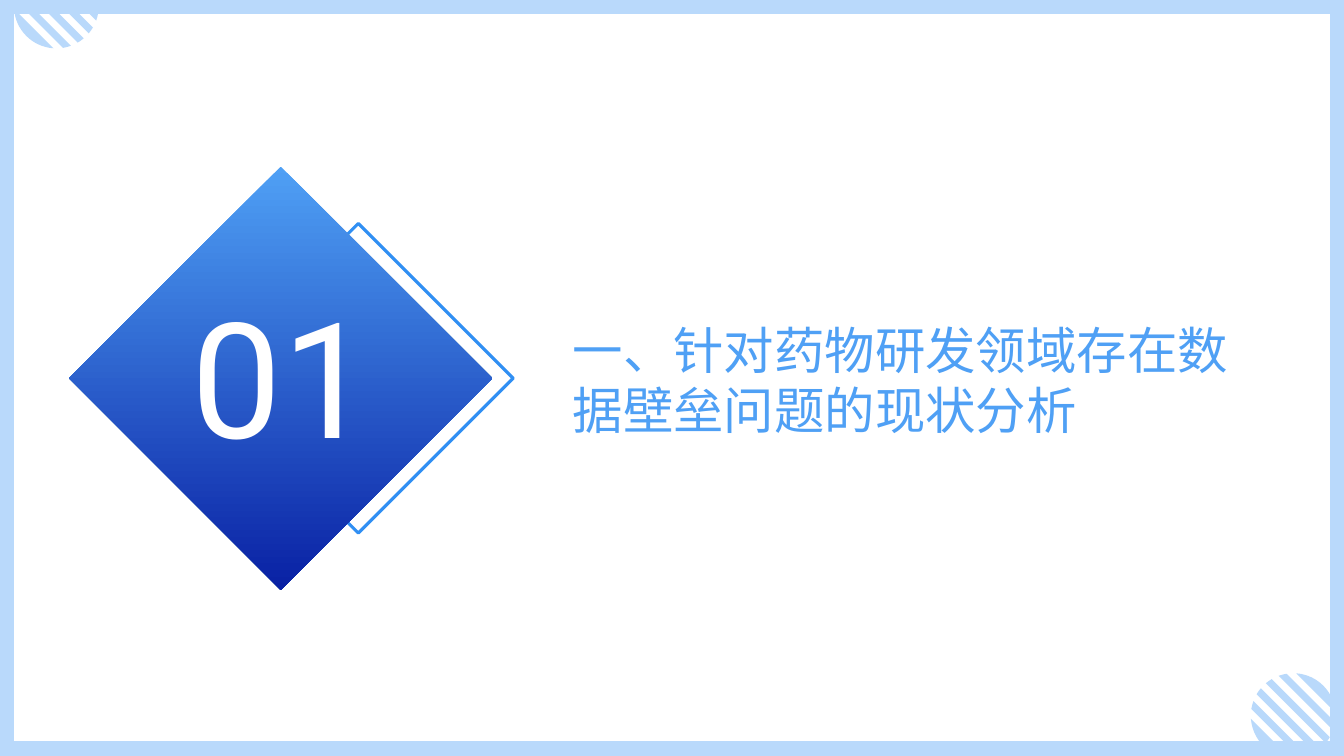
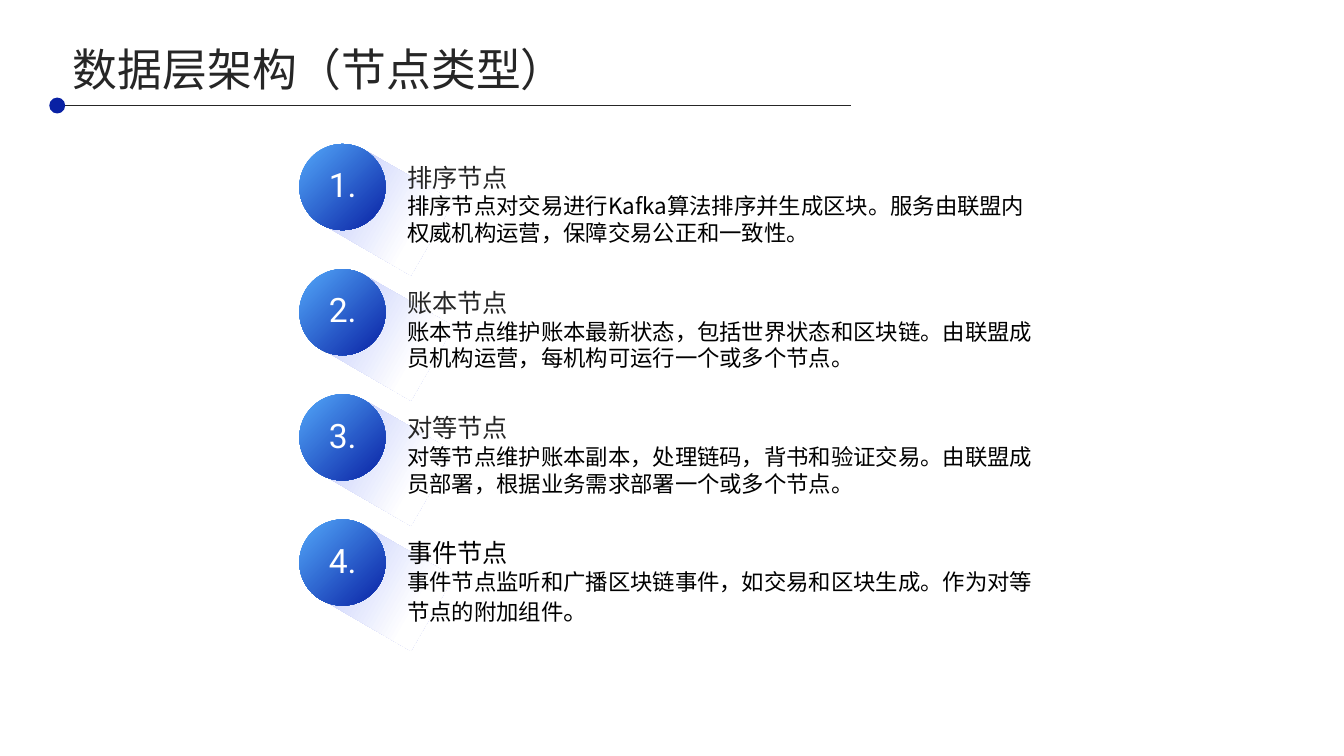
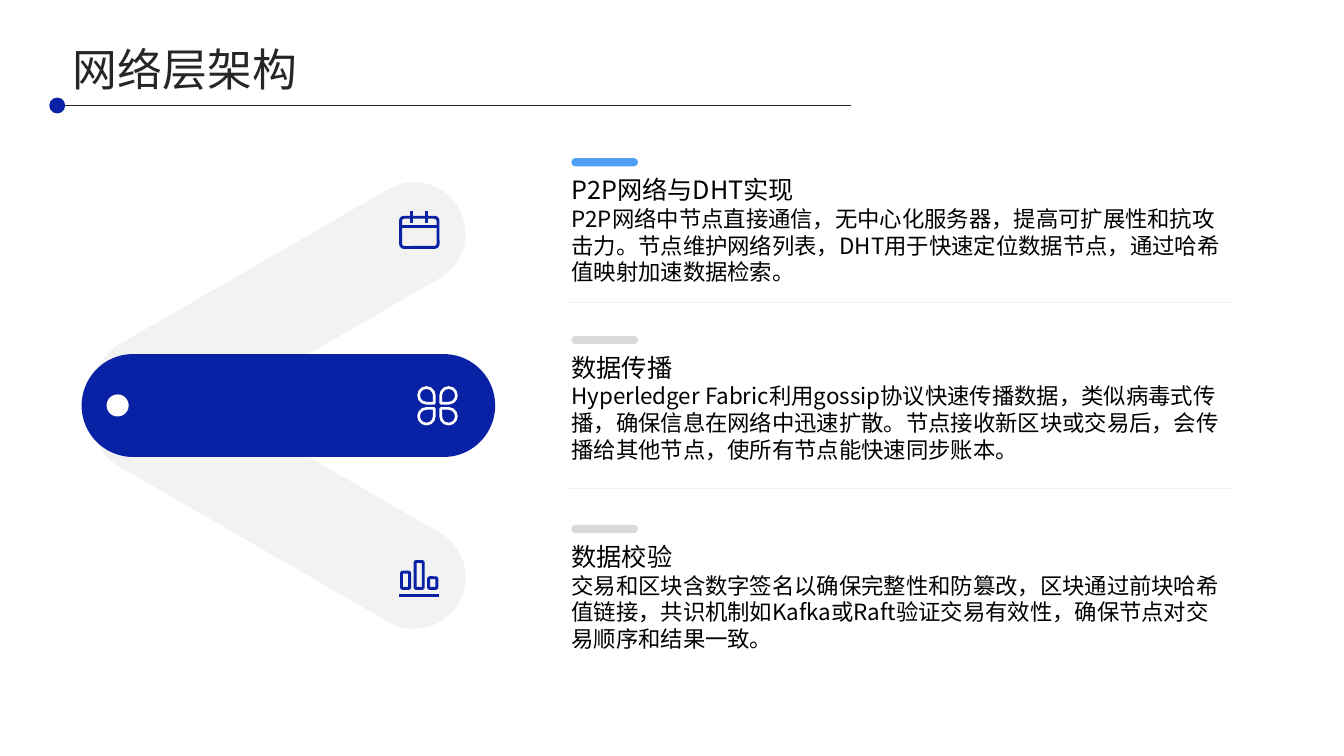
import math
from dataclasses import dataclass

from lxml import etree
from pptx import Presentation
from pptx.dml.color import RGBColor
from pptx.enum import lang, shapes, text
from pptx.oxml import ns
from pptx.util import Pt

SHAPE = shapes.MSO_SHAPE


@dataclass(frozen=True)
class Theme:
    navy: str = "0921A4"
    sky: str = "4FA0F5"
    outline: str = "308FF3"
    frame: str = "B9D9FB"
    glow: str = "BFC8FB"
    ink: str = "262626"
    black: str = "000000"
    white: str = "FFFFFF"
    pale: str = "F2F2F2"
    grey: str = "D9D9D9"
    latin: str = "Roboto"
    cjk: str = "Noto Sans CJK SC"
    section_number: int = 115
    section_title: int = 36
    title: int = 32
    number: int = 24
    heading: int = 18
    body: int = 16


@dataclass(frozen=True)
class Box:
    left: float
    top: float
    width: float
    height: float


@dataclass(frozen=True)
class Gradient:
    start: str
    end: str
    angle: float
    start_at: float = 0
    end_at: float = 1


@dataclass(frozen=True)
class Topic:
    heading: str
    body: str
    heading_color: str
    top: float = 0
    accent: str = ""
    closing: str = ""


T = Theme()
SLIDE_W, SLIDE_H = 960, 540
SECTION_LAYOUT, TOPICS_LAYOUT = 5, 4

NODES = [
    Topic("排序节点", "排序节点对交易进行Kafka算法排序并生成区块。服务由联盟内权威机构运营，保障交易公正和一致性。", T.ink),
    Topic("账本节点", "账本节点维护账本最新状态，包括世界状态和区块链。由联盟成员机构运营，每机构可运行一个或多个节点。", T.ink),
    Topic("对等节点", "对等节点维护账本副本，处理链码，背书和验证交易。由联盟成员部署，根据业务需求部署一个或多个节点。", T.ink),
    Topic("事件节点", "事件节点监听和广播区块链事件，如交易和区块生成。作为对等节点的附加组件", T.black, closing="。"),
]
NETWORK = [
    Topic("P2P网络与DHT实现", "P2P网络中节点直接通信，无中心化服务器，提高可扩展性和抗攻击力。节点维护网络列表，DHT用于快速定位数据节点，通过哈希值映射加速数据检索。",
          T.black, 113, T.sky),
    Topic("数据传播", "Hyperledger Fabric利用gossip协议快速传播数据，类似病毒式传播，确保信息在网络中迅速扩散。节点接收新区块或交易后，会传播给其他节点，使所有节点能快速同步账本。",
          T.black, 240, T.grey),
    Topic("数据校验", "交易和区块含数字签名以确保完整性和防篡改，区块通过前块哈希值链接，共识机制如Kafka或Raft验证交易有效性，确保节点对交易顺序和结果一致。",
          T.black, 375, T.grey),
]


# Drawing helpers
def rgb(color: str) -> RGBColor:
    return RGBColor.from_string(color)


def place(shape, box: Box) -> None:
    shape.left, shape.top = Pt(box.left), Pt(box.top)
    shape.width, shape.height = Pt(box.width), Pt(box.height)


def paint(shape, fill: str | Gradient | None, line: str | None = None, weight: float = 1) -> None:
    shape.shadow.inherit = False
    if isinstance(fill, Gradient):
        shape.fill.gradient()
        shape.fill.gradient_angle = (360 - fill.angle) % 360
        first, last = shape.fill.gradient_stops
        first.color.rgb, first.position = rgb(fill.start), fill.start_at
        last.color.rgb, last.position = rgb(fill.end), fill.end_at
    elif fill:
        shape.fill.solid()
        shape.fill.fore_color.rgb = rgb(fill)
    else:
        shape.fill.background()
    if line:
        shape.line.color.rgb = rgb(line)
        shape.line.width = Pt(weight)
    else:
        shape.line.fill.background()


def add_figure(slide, kind, box: Box, fill=None, *, line=None, weight=1.0, rotation=0.0, corner=None):
    figure = slide.shapes.add_shape(kind, Pt(box.left), Pt(box.top), Pt(box.width), Pt(box.height))
    paint(figure, fill, line, weight)
    figure.rotation = rotation
    if corner is not None:
        figure.adjustments[0] = corner
    return figure


def add_rule(slide, x1: float, y1: float, x2: float, y2: float, color: str, weight: float = 1) -> None:
    rule = slide.shapes.add_connector(shapes.MSO_CONNECTOR.STRAIGHT, Pt(x1), Pt(y1), Pt(x2), Pt(y2))
    rule.line.color.rgb = rgb(color)
    rule.line.width = Pt(weight)
    etree.SubElement(rule.element.spPr, ns.qn("a:effectLst"))


def add_text(paragraph, words: str, *, size: float, color: str, font: str = T.cjk) -> None:
    run = paragraph.add_run()
    run.text = words
    run.font.size, run.font.bold, run.font.name = Pt(size), False, font
    run.font.color.rgb = rgb(color)
    run.font.language_id = lang.MSO_LANGUAGE_ID.SIMPLIFIED_CHINESE
    run.font._element.find(ns.qn("a:latin")).addnext(
        etree.Element(ns.qn("a:ea"), typeface=T.cjk))


def prepare(shape, box: Box, anchor=text.MSO_ANCHOR.MIDDLE):
    """Place a text holder without margins and return its frame."""
    place(shape, box)
    frame = shape.text_frame
    frame.word_wrap, frame.auto_size = True, text.MSO_AUTO_SIZE.NONE
    frame.vertical_anchor = anchor
    frame.margin_left = frame.margin_right = frame.margin_top = frame.margin_bottom = 0
    return frame


def format_paragraph(paragraph, align=text.PP_ALIGN.LEFT):
    properties = paragraph._p.get_or_add_pPr()
    properties.set("marL", "0")
    properties.set("indent", "0")
    etree.SubElement(properties, ns.qn("a:buNone"))
    paragraph.alignment, paragraph.line_spacing = align, 1.0
    paragraph.space_before = paragraph.space_after = Pt(0)
    return paragraph


def bring_to_front(shape) -> None:
    shape.element.getparent().append(shape.element)


def set_title(slide, words: str, box: Box, *, size: float, color: str) -> None:
    bring_to_front(slide.shapes.title)
    frame = prepare(slide.shapes.title, box)
    add_text(format_paragraph(frame.paragraphs[0]), words, size=size, color=color)


def add_number(slide, words: str, box: Box, size: float) -> None:
    frame = prepare(slide.shapes.add_textbox(0, 0, 0, 0), box)
    paragraph = format_paragraph(frame.paragraphs[0], text.PP_ALIGN.CENTER)
    add_text(paragraph, words, size=size, color=T.white, font=T.latin)


def fill_topic(holder, topic: Topic, box: Box) -> None:
    bring_to_front(holder)
    frame = prepare(holder, box, text.MSO_ANCHOR.TOP)
    heading = format_paragraph(frame.paragraphs[0])
    add_text(heading, topic.heading, size=T.heading, color=topic.heading_color)
    body = format_paragraph(frame.add_paragraph())
    add_text(body, topic.body, size=T.body, color=T.black)
    if topic.closing:
        add_text(body, topic.closing, size=T.heading, color=T.black)


def topic_slide(deck, title: str):
    """Add a slide with the shared header; return it with its body placeholders."""
    slide = deck.slides.add_slide(deck.slide_layouts[TOPICS_LAYOUT])
    bodies = [p for p in slide.placeholders if p.placeholder_format.idx > 0]
    set_title(slide, title, Box(52, 30.6, 855, 36.7), size=T.title, color=T.ink)
    add_rule(slide, 40.5, 75.4, 607.7, 75.4, T.ink, 0.75)
    add_figure(slide, SHAPE.OVAL, Box(35.2, 69.7, 11.4, 11.4), T.navy)
    return slide, bodies


# Striped corner discs
def clip(points: list, a: float, b: float, c: float) -> list:
    """Keep the part of a polygon where a*x + b*y >= c."""
    kept = []
    for (x1, y1), (x2, y2) in zip(points, points[1:] + points[:1]):
        d1, d2 = a * x1 + b * y1 - c, a * x2 + b * y2 - c
        if d1 >= 0:
            kept.append((x1, y1))
        if d1 * d2 < 0:
            t = d1 / (d1 - d2)
            kept.append((x1 + t * (x2 - x1), y1 + t * (y2 - y1)))
    return kept


def add_striped_disc(slide, cx: float, cy: float, radius: float = 30.3) -> None:
    disc = [(cx + radius * math.cos(math.radians(d)), cy + radius * math.sin(math.radians(d)))
            for d in range(0, 360, 5)]
    for side in ((1, 0, 10), (0, 1, 10), (-1, 0, 10 - SLIDE_W), (0, -1, 10.8 - SLIDE_H)):
        disc = clip(disc, *side)
    builder = None
    for step in range(-5, 6, 2):
        middle = cx - cy + step * 7.2
        # The outermost stripes run to the rim
        low = radius if step == -5 else 3.6
        high = radius if step == 5 else 3.6
        stripe = clip(clip(disc, 1, -1, middle - low), -1, 1, -middle - high)
        outline = [(Pt(x), Pt(y)) for x, y in stripe]
        if not outline:
            continue
        if builder is None:
            builder = slide.shapes.build_freeform(*outline[0], scale=1.0)
        else:
            builder.move_to(*outline[0])
        builder.add_line_segments(outline[1:], close=True)
    paint(builder.convert_to_shape(), T.frame)


# Icons
def add_calendar(slide, x: float, y: float) -> None:
    add_figure(slide, SHAPE.ROUNDED_RECTANGLE, Box(x + 1, y + 4.4, 26.8, 21.6), line=T.navy, weight=2.1, corner=0.12)
    add_rule(slide, x + 1, y + 11.2, x + 27.8, y + 11.2, T.navy, 2.1)
    for tick in (x + 9, x + 19.8):
        add_rule(slide, tick, y, tick, y + 8.2, T.navy, 2.1)


def add_clover(slide, x: float, y: float) -> None:
    for column, row, rotation in ((0, 0, 90), (1, 0, 180), (0, 1, 0), (1, 1, 270)):
        petal = Box(x + 1 + 15.8 * column, y + 1 + 14.9 * row, 11.2, 11.2)
        add_figure(slide, SHAPE.TEAR, petal, line=T.white, weight=1.9, rotation=rotation)


def add_bars(slide, x: float, y: float) -> None:
    for column, height in enumerate((11.6, 19.2, 7.6)):
        bar = Box(x + 1.7 + 9.7 * column, y + 20.6 - height, 5.8, height)
        add_figure(slide, SHAPE.ROUNDED_RECTANGLE, bar, line=T.navy, weight=2.1, corner=0.15)
    add_rule(slide, x, y + 25.4, x + 28.6, y + 25.4, T.navy, 2.1)


# Slides
def build_section(deck) -> None:
    slide = deck.slides.add_slide(deck.slide_layouts[SECTION_LAYOUT])
    add_figure(slide, SHAPE.RECTANGLE, Box(0, 0, SLIDE_W, 539.3), T.white, line=T.frame, weight=20)
    add_figure(slide, SHAPE.DIAMOND, Box(145.4, 159.6, 221.2, 221.2), line=T.outline, weight=2.25)
    add_figure(slide, SHAPE.DIAMOND, Box(49.4, 119, 302.4, 302.4), Gradient(T.sky, T.navy, 90))
    add_number(slide, "01", Box(92.5, 119, 218, 296), T.section_number)
    set_title(slide, "一、针对药物研发领域存在数据壁垒问题的现状分析", Box(409, 89.3, 473, 363),
              size=T.section_title, color=T.sky)
    add_striped_disc(slide, 923.8, 511.2)
    add_striped_disc(slide, 40.3, 4.3)


def build_nodes(deck) -> None:
    slide, bodies = topic_slide(deck, "数据层架构（节点类型）")
    for index, (holder, node) in enumerate(zip(bodies, NODES)):
        top = 102.8 + 89.4 * index
        add_figure(slide, SHAPE.RECTANGLE, Box(238.3, top + 18, 75.6, 61.2),
                   Gradient(T.glow, T.white, 0, 0.06, 0.7), rotation=30)
        add_figure(slide, SHAPE.OVAL, Box(213.8, top, 61.6, 61.6), Gradient(T.sky, T.navy, 45, 0.06))
        add_number(slide, f"{index + 1}.", Box(221.8, top + 15.8, 46, 26), T.number)
        fill_topic(holder, node, Box(290.9, top + 13.1, 453.6, 65.5))


def build_network(deck) -> None:
    slide, bodies = topic_slide(deck, "网络层架构")
    for holder, topic in zip(bodies, NETWORK):
        add_figure(slide, SHAPE.ROUNDED_RECTANGLE, Box(408.2, topic.top, 47.5, 5.8), topic.accent, corner=0.5)
        fill_topic(holder, topic, Box(408.2, topic.top + 11.7, 469.4, 49))
    for spare in bodies[len(NETWORK):]:
        spare.element.getparent().remove(spare.element)
    for y in (216, 349):
        add_rule(slide, 404.6, y, 879.8, y, T.pale)

    for left, top, rotation, color in ((52, 320.2, 30, T.pale), (52, 185.6, 330, T.pale), (58.3, 252.9, 0, T.navy)):
        add_figure(slide, SHAPE.ROUNDED_RECTANGLE, Box(left, top, 295.4, 73.5), color, rotation=rotation, corner=0.5)
    add_figure(slide, SHAPE.OVAL, Box(76.1, 281.7, 15.8, 15.8), T.white)
    add_clover(slide, 298, 275.8)
    add_calendar(slide, 285.1, 150.8)
    add_bars(slide, 285.1, 399.7)


def main() -> None:
    deck = Presentation()
    deck.slide_width, deck.slide_height = Pt(SLIDE_W), Pt(SLIDE_H)
    for build in (build_section, build_nodes, build_network):
        build(deck)
    deck.save("out.pptx")


if __name__ == "__main__":
    main()
